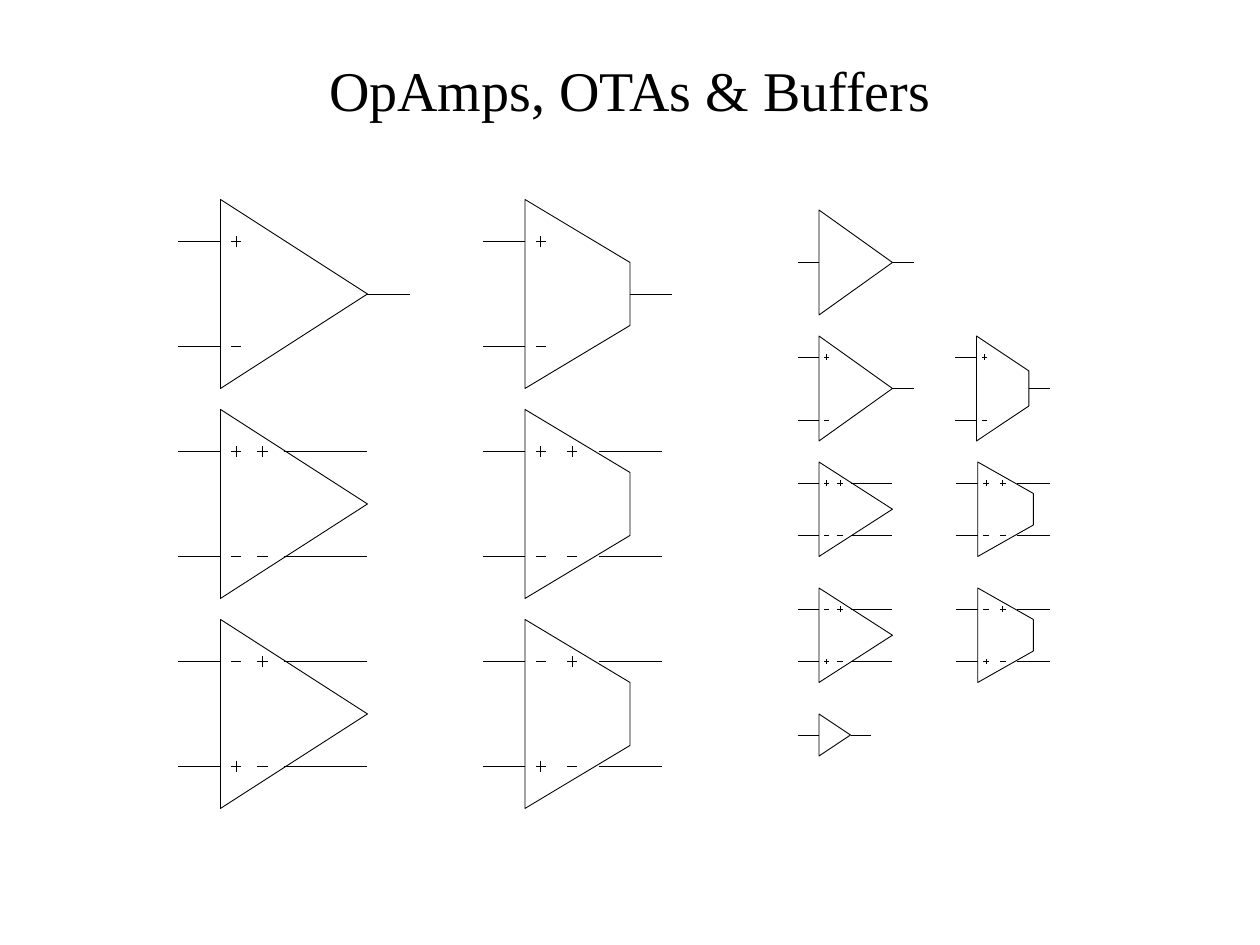
from lxml import etree
from pptx import Presentation
from pptx.dml.color import RGBColor
from pptx.enum.shapes import MSO_CONNECTOR
from pptx.enum.text import MSO_ANCHOR, PP_ALIGN
from pptx.oxml.ns import qn
from pptx.util import Inches, Pt

STRAIGHT = MSO_CONNECTOR.STRAIGHT
CENTER = PP_ALIGN.CENTER
MIDDLE = MSO_ANCHOR.MIDDLE
BLACK = "000000"
GRID = Inches(1) / 24
LEAD = 8  # length of input leads and distance of pins from the body's corners
SIGN_X = 3  # distance of the input signs from the body's left edge

# Bodies in grid units: width, half of the blunt right edge,
# x of the output signs, start and end of the differential output leads
OPAMP = (28, 0, 8, 12, 28)
OTA = (20, 6, 9, 14, 26)
SMALL_OTA = (20, 6.67, 9, 14, 26)
BUFFER = (28, 0, 0, 0, 0)
SMALL_BUFFER = (12, 0, 0, 0, 0)

# left, top (grid units), x scale, y scale, body, height, input signs,
# output signs, width of the input leads in points
SYMBOLS = [
    (156, 40, 0.5, 0.5, BUFFER, 40, "", "", 0.75),
    (156, 64, 0.5, 0.5, OPAMP, 40, "+-", "", 0.5),
    (186, 64, 0.5, 0.5, SMALL_OTA, 40, "+-", "", 0.5),
    (156, 136, 0.5, 0.5, SMALL_BUFFER, 16, "", "", 0.5),
]
for row, (inputs, outputs) in enumerate([("+-", ""), ("+-", "+-"), ("-+", "+-")]):
    for left, body in [(42, OPAMP), (100, OTA)]:
        SYMBOLS.append((left, 38 + 40 * row, 1, 1, body, 36, inputs, outputs, 0.5))
for row, inputs in enumerate(["+-", "-+"]):
    for left, x_scale, body in [(156, 0.5, OPAMP), (186.25, 0.53, OTA)]:
        SYMBOLS.append((left, 88 + 24 * row, x_scale, 0.5, body, 36, inputs, "+-", 0.5))


def style_line(line, width, color=BLACK):
    line.width = Pt(width)
    line.color.rgb = RGBColor.from_string(color)


def write_text(shape, text, size, font="Times New Roman", color=BLACK, align=CENTER):
    shape.text_frame.text = text
    shape.text_frame.vertical_anchor = MIDDLE
    paragraph = shape.text_frame.paragraphs[0]
    paragraph.alignment = align
    paragraph.font.size = Pt(size)
    paragraph.font.name = font
    paragraph.font.color.rgb = RGBColor.from_string(color)


presentation = Presentation()
presentation.slide_width = Inches(10)
presentation.slide_height = Inches(7.5)
slide = presentation.slides.add_slide(presentation.slide_layouts[5])

title = slide.shapes.title
title.left, title.top = Inches(0.75), Inches(0.08)
title.width, title.height = Inches(8.5), Inches(1.25)
write_text(title, "OpAmps, OTAs & Buffers", size=32)

for left, top, x_scale, y_scale, body, height, inputs, outputs, lead_width in SYMBOLS:
    width, half_edge, output_sign_x, output_start, output_end = body
    middle = height / 2
    pins = [LEAD, height - LEAD] if inputs else [middle]

    # Segments relative to the body's corner: x1, y1, x2, y2, line width
    segments = [(-LEAD, pin, 0, pin, lead_width) for pin in pins]
    if outputs:
        segments += [(output_start, pin, output_end, pin, 0.5) for pin in pins]
    else:
        segments.append((width, middle, width + LEAD, middle, 0.5))
    for signs, x in [(inputs, SIGN_X), (outputs, output_sign_x)]:
        for sign, pin in zip(signs, pins):
            segments.append((x - 1, pin, x + 1, pin, 0.5))
            if sign == "+":
                segments.append((x, pin - 1, x, pin + 1, 0.5))

    outline = [(0, height), (0, 0), (width, middle - half_edge)]
    if half_edge:
        outline.append((width, middle + half_edge))
    points = [
        (round((left + x * x_scale) * GRID), round((top + y * y_scale) * GRID))
        for x, y in outline
    ]

    group = slide.shapes.add_group_shape()
    builder = group.shapes.build_freeform(*points[0])
    builder.add_line_segments(points[1:], close=True)
    shape = builder.convert_to_shape()
    shape.shadow.inherit = False
    shape.fill.background()
    style_line(shape.line, 0.5)

    for x1, y1, x2, y2, line_width in segments:
        connector = group.shapes.add_connector(
            STRAIGHT,
            round((left + x1 * x_scale) * GRID),
            round((top + y1 * y_scale) * GRID),
            round((left + x2 * x_scale) * GRID),
            round((top + y2 * y_scale) * GRID),
        )
        style_line(connector.line, line_width)
        etree.SubElement(connector._element.spPr, qn("a:effectLst"))

presentation.save("out.pptx")
